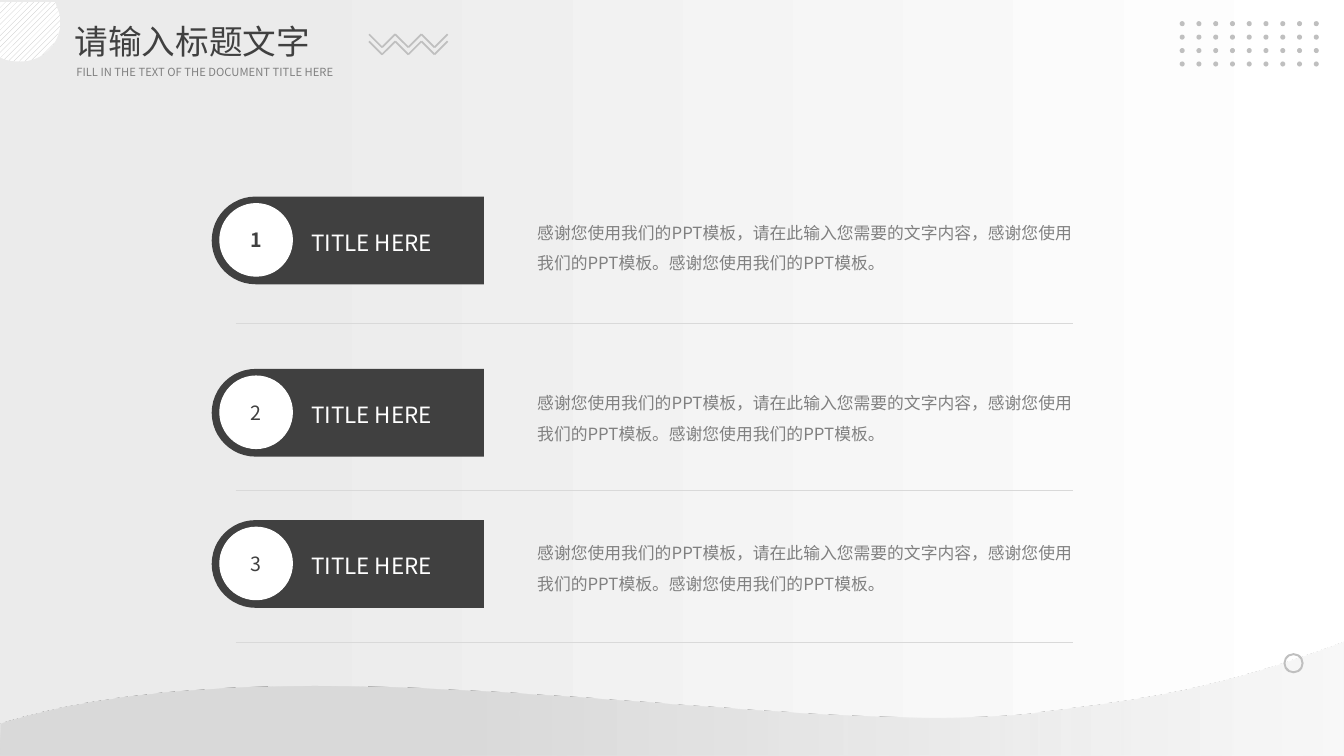
from lxml import etree
from pptx import Presentation
from pptx.dml.color import RGBColor
from pptx.enum.dml import MSO_PATTERN
from pptx.enum.shapes import MSO_CONNECTOR, MSO_SHAPE
from pptx.enum.text import MSO_ANCHOR, MSO_AUTO_SIZE, PP_ALIGN
from pptx.oxml.ns import qn
from pptx.util import Inches, Pt

STRAIGHT = MSO_CONNECTOR.STRAIGHT
OVAL, DONUT, PILL = MSO_SHAPE.OVAL, MSO_SHAPE.DONUT, MSO_SHAPE.ROUND_2_SAME_RECTANGLE
LEFT, CENTER, JUSTIFY = PP_ALIGN.LEFT, PP_ALIGN.CENTER, PP_ALIGN.JUSTIFY
TOP, MIDDLE = MSO_ANCHOR.TOP, MSO_ANCHOR.MIDDLE
GROW = MSO_AUTO_SIZE.SHAPE_TO_FIT_TEXT
DIAGONAL = MSO_PATTERN.WIDE_UPWARD_DIAGONAL
FONT = "Noto Sans CJK SC"
COLORS = {
    "dark": "404040", "text": "808080", "ornament": "BFBFBF", "rule": "D9D9D9",
    "white": "FFFFFF", "back": "EBEBEB", "wave": "F4F4F4",
}
BODY = "感谢您使用我们的PPT模板，请在此输入您需要的文字内容，感谢您使用我们的PPT模板。感谢您使用我们的PPT模板。"
ROWS = [
    {"number": "1", "top": 1.95, "body_top": 2.06, "body_width": 5.52, "rule": 3.21, "bold": True},
    {"number": "2", "top": 3.66, "body_top": 3.75, "body_width": 5.62, "rule": 4.86, "bold": None},
    {"number": "3", "top": 5.16, "body_top": 5.24, "body_width": 5.62, "rule": 6.37, "bold": None},
]


def rgb(name):
    """Return the named colour."""
    return RGBColor.from_string(COLORS[name])


def set_gradient(fill, stops, angle):
    """Apply a two-stop linear gradient."""
    fill.gradient()
    fill.gradient_angle = angle
    for stop, (position, color) in zip(fill.gradient_stops, stops):
        stop.position = position
        stop.color.rgb = rgb(color)


def write(sp, text, size, color, align=LEFT, anchor=TOP, wrap=True, spacing=None, bold=None):
    """Write one formatted paragraph into a shape."""
    tf = sp.text_frame
    tf.word_wrap, tf.vertical_anchor = wrap, anchor
    p = tf.paragraphs[0]
    p.alignment = align
    if spacing:
        p.line_spacing = spacing
    r = p.add_run()
    r.text = text
    for key, value in {"name": FONT, "size": Pt(size), "bold": bold}.items():
        setattr(r.font, key, value)
    r.font.color.rgb = rgb(color)
    etree.SubElement(r.font._element, qn("a:ea"), typeface=FONT)


def add_text(s, box, text, size, color, **format_values):
    """Add a text box that grows with its text."""
    sp = s.shapes.add_textbox(*map(Inches, box))
    write(sp, text, size, color, **format_values)
    sp.text_frame.auto_size = GROW


def add_shape(s, kind, box, color):
    """Add a plain filled shape."""
    sp = s.shapes.add_shape(kind, *map(Inches, box))
    sp.shadow.inherit = False
    sp.fill.solid()
    sp.fill.fore_color.rgb = rgb(color)
    sp.line.fill.background()
    return sp


def add_line(s, start, end, color, width):
    """Add a straight line without shadow."""
    line = s.shapes.add_connector(STRAIGHT, *map(Inches, (*start, *end)))
    line.line.color.rgb = rgb(color)
    line.line.width = Pt(width)
    etree.SubElement(line.element.spPr, qn("a:effectLst"))


def add_outline(s, box, start, segments):
    """Draw a closed outline; a segment of three points is a cubic curve."""
    builder = s.shapes.build_freeform(*map(Inches, start))
    builder.add_line_segments([tuple(map(Inches, points[-1])) for points in segments])
    sp = builder.convert_to_shape(*map(Inches, box))
    sp.shadow.inherit = False
    sp.line.fill.background()
    for line_to, points in zip(sp.element.findall(".//" + qn("a:lnTo")), segments):
        if len(points) == 3:
            line_to.addprevious(cubic := etree.Element(qn("a:cubicBezTo")))
            for x, y in points:
                etree.SubElement(cubic, qn("a:pt"), x=str(Inches(x)), y=str(Inches(y)))
            line_to.getparent().remove(line_to)
    return sp


def add_wave(s, box):
    """Draw the fading wave along the foot."""
    sp = add_outline(s, box, (13.33, 1.13), [
        [(0, 1.13)],
        [(0, 1.02), (0.01, 0.92), (0.01, 0.81)],
        [(2.85, -0.08), (7.64, 0.94), (10.12, 0.72)],
        [(11.39, 0.57), (12.07, 0.47), (13.33, 0)],
    ])
    set_gradient(sp.fill, [(0.35, "rule"), (1, "wave")], 0)
    faded = sp.element.findall(".//" + qn("a:srgbClr"))[1]
    etree.SubElement(faded, qn("a:alpha"), val="66000")


def add_corner(s, box):
    """Draw the hatched disc cut by the corner."""
    sp = add_outline(s, box, (0.2, 0.59), [
        [(0.13, 0.59), (0.06, 0.58), (0, 0.55)],
        [(0, 0.54)],
        [(0, 0)],
        [(0.55, 0)],
        [(0.56, 0.04)],
        [(0.58, 0.09), (0.6, 0.14), (0.6, 0.19)],
        [(0.6, 0.42), (0.42, 0.59), (0.2, 0.59)],
    ])
    sp.fill.patterned()
    sp.fill.pattern = DIAGONAL
    sp.fill.fore_color.rgb = rgb("ornament")
    sp.fill.back_color.rgb = rgb("white")


def add_zigzags(s, left, top):
    """Draw two stacked zigzags as a group."""
    step = 0.13
    group = s.shapes.add_group_shape()
    for y in (top, top + 0.07):
        for i in range(6):
            start = (left + i * step, y + i % 2 * step)
            end = (left + (i + 1) * step, y + (i + 1) % 2 * step)
            add_line(group, end, start, "ornament", 1.25)


def add_dots(s, left, top):
    """Draw the grid of dots as a group."""
    group = s.shapes.add_group_shape()
    for column in range(9):
        for row in range(4):
            box = (left + column * 1.33 / 8, top + row * 0.4 / 3, 0.05, 0.05)
            add_shape(group, OVAL, box, "ornament")


def add_header(s, left, top):
    """Place the title and its subtitle."""
    title = s.shapes.title
    box = {"left": left, "top": top, "width": 2.84, "height": 0.5}
    for key, value in box.items():
        setattr(title, key, Inches(value))
    write(title, "请输入标题文字", 24, "dark", align=JUSTIFY)
    title.text_frame.auto_size = GROW
    add_text(s, (left + 0.02, top + 0.44, 2.77, 0.24),
             "FILL IN THE TEXT OF THE DOCUMENT TITLE HERE", 8, "text", wrap=False)


def add_row(s, left, row):
    """Place a numbered label, its text and the rule below."""
    top, width, height = row["top"], 2.7, 0.87
    pill_box = (left + (width - height) / 2, top - (width - height) / 2, height, width)
    pill = add_shape(s, PILL, pill_box, "dark")
    pill.adjustments[0], pill.adjustments[1] = 0.5, 0
    pill.rotation = 270
    badge = add_shape(s, OVAL, (left + 0.08, top + 0.07, 0.72, 0.72), "white")
    badge.line.color.rgb = rgb("white")
    badge.line.width = Pt(0.75)
    for side in ("left", "top", "right", "bottom"):
        setattr(badge.text_frame, "margin_" + side, 0)
    write(badge, row["number"], 14, "dark", align=CENTER, anchor=MIDDLE, bold=row["bold"])
    add_text(s, (left + 0.89, top + 0.27, 1.6, 0.37), "TITLE HERE", 16, "white", align=JUSTIFY)
    add_text(s, (left + 3.13, row["body_top"], row["body_width"], 0.66), BODY, 12, "text", spacing=1.5)
    add_line(s, (left + 0.24, row["rule"]), (left + 8.54, row["rule"]), "rule", 0.5)


def main():
    """Build and save the slide."""
    prs = Presentation()
    prs.slide_width, prs.slide_height = Inches(13.33), Inches(7.5)
    s = prs.slides.add_slide(prs.slide_layouts[5])
    set_gradient(s.background.fill, [(0, "white"), (0.82, "back")], 180)
    add_header(s, 0.64, 0.16)
    add_wave(s, (0, 6.37))
    add_zigzags(s, 3.66, 0.34)
    add_shape(s, DONUT, (12.73, 6.48, 0.2, 0.2), "ornament").adjustments[0] = 0.1
    add_dots(s, 11.7, 0.21)
    add_corner(s, (0, 0.02))
    for row in ROWS:
        add_row(s, 2.1, row)
    prs.save("out.pptx")


if __name__ == "__main__":
    main()
